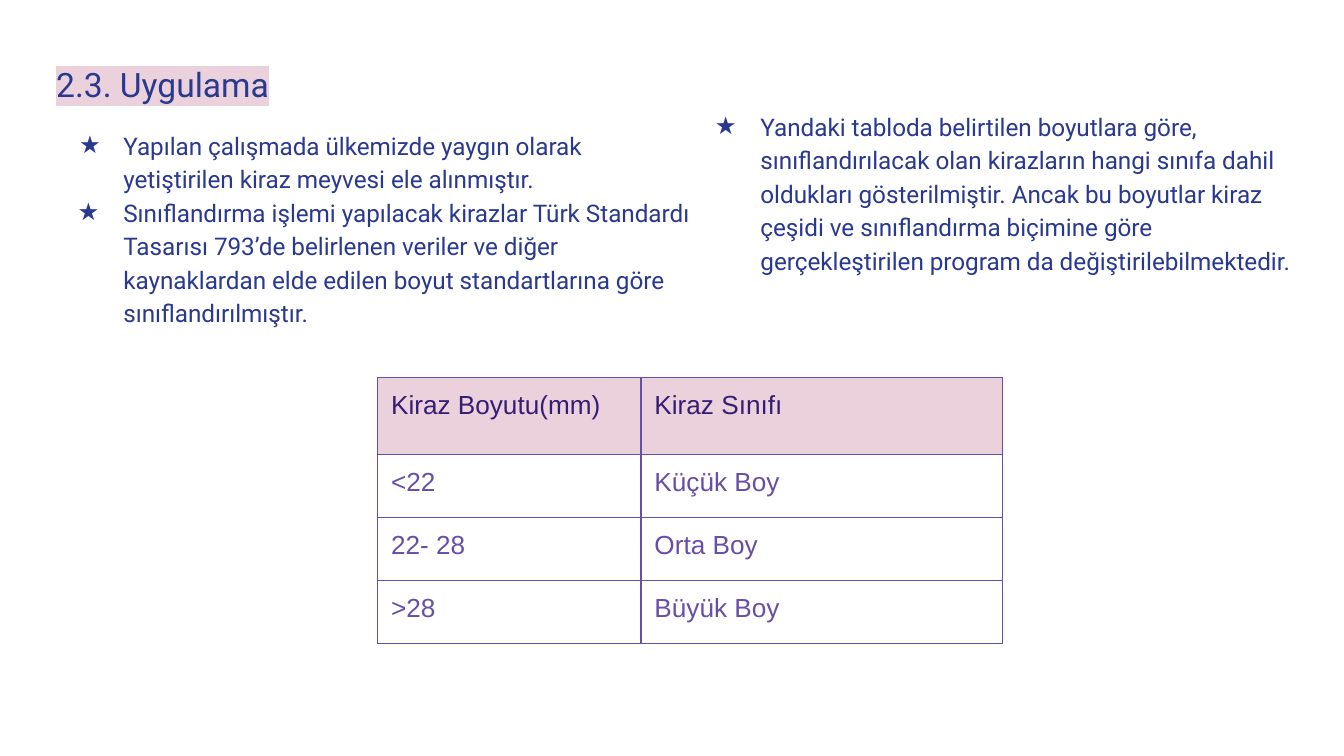
import pptx
import pptx.dml.color
import pptx.oxml
import pptx.oxml.ns
import pptx.util
from lxml import etree

WIDTH = 10
HEIGHT = WIDTH * 9 / 16
CELL = WIDTH / 100  # square grid, 100 columns across the slide
NAVY, PINK, WHITE = "2A3990", "EAD1DC", "FFFFFF"
PURPLE, DARK_PURPLE = "674EA7", "351C75"

HEADING = "2.3. Uygulama"
STUDY_POINTS = [
    "Yapılan çalışmada ülkemizde yaygın olarak yetiştirilen kiraz meyvesi ele alınmıştır.",
    "Sınıflandırma işlemi yapılacak kirazlar Türk Standardı Tasarısı 793’de belirlenen "
    "veriler ve diğer kaynaklardan elde edilen boyut standartlarına göre sınıflandırılmıştır.",
]
SIZE_POINTS = [
    "Yandaki tabloda belirtilen boyutlara göre, sınıflandırılacak olan kirazların hangi "
    "sınıfa dahil oldukları gösterilmiştir. Ancak bu boyutlar kiraz çeşidi ve sınıflandırma "
    "biçimine göre gerçekleştirilen program da değiştirilebilmektedir.",
]
CHERRY_SIZES = [
    ("Kiraz Boyutu(mm)", "Kiraz Sınıfı"),
    ("<22", "Küçük Boy"),
    ("22- 28", "Orta Boy"),
    (">28", "Büyük Boy"),
]


def grid(cells):
    return pptx.util.Inches(cells * CELL)


def rgb(colour):
    return pptx.dml.color.RGBColor.from_string(colour)


def add_child(parent, tag, **attributes):
    return etree.SubElement(parent, pptx.oxml.ns.qn(tag), attributes)


def set_margins(holder):
    for side in ("left", "top", "right", "bottom"):
        setattr(holder, f"margin_{side}", grid(1))


def write_run(paragraph, text, size, face, colour, highlight=None):
    run = paragraph.add_run()
    run.text = text
    for name, value in {"size": pptx.util.Pt(size), "name": face}.items():
        setattr(run.font, name, value)
    run.font.color.rgb = rgb(colour)
    if highlight:
        marker = pptx.oxml.parse_xml(
            f'<a:highlight {pptx.oxml.ns.nsdecls("a")}><a:srgbClr val="{highlight}"/></a:highlight>'
        )
        run.font._element.find(pptx.oxml.ns.qn("a:solidFill")).addnext(marker)


def add_star(paragraph, indent):
    """Hang a star bullet in front of the paragraph."""
    properties = paragraph._p.get_or_add_pPr()
    properties.set("marL", str(grid(5)))
    properties.set("indent", str(-grid(indent)))
    add_child(add_child(properties, "a:buClr"), "a:srgbClr", val=NAVY)
    add_child(properties, "a:buFont", typeface="Roboto")
    add_child(properties, "a:buChar", char="★")


def add_text_column(slide, left, top, width, height, points, heading=None, highlight=None):
    frame = slide.shapes.add_textbox(*map(grid, (left, top, width, height))).text_frame
    frame.word_wrap = True
    set_margins(frame)
    lines = ([heading] if heading else []) + points
    for index, line in enumerate(lines):
        paragraph = frame.add_paragraph() if index else frame.paragraphs[0]
        paragraph.line_spacing = 1.15
        if line == heading:
            write_run(paragraph, line, 18, "Roboto", NAVY, PINK)
            continue
        after_heading = heading and index == 1
        if after_heading:
            paragraph.space_before = pptx.util.Pt(12)
        add_star(paragraph, 3.3 if after_heading else 3.4)
        write_run(paragraph, line, 13, "Roboto", NAVY, highlight)


def add_borders(cell):
    properties = cell._tc.get_or_add_tcPr()
    for position, side in enumerate(("a:lnL", "a:lnR", "a:lnT", "a:lnB")):
        line = add_child(properties, side, w=str(pptx.util.Pt(0.75)))
        add_child(add_child(line, "a:solidFill"), "a:srgbClr", val=PURPLE)
        properties.insert(position, line)


def add_size_table(slide, left, top, column_widths, row_heights):
    table = slide.shapes.add_table(
        len(row_heights), len(column_widths), grid(left), grid(top),
        grid(sum(column_widths)), grid(sum(row_heights)),
    ).table
    for name in ("first_row", "horz_banding"):
        setattr(table, name, False)
    for column, width in zip(table.columns, column_widths):
        column.width = grid(width)
    for index, (row, height) in enumerate(zip(table.rows, row_heights)):
        row.height = grid(height)
        for cell, text in zip(row.cells, CHERRY_SIZES[index]):
            set_margins(cell)
            if index == 0:
                cell.fill.solid()
                cell.fill.fore_color.rgb = rgb(PINK)
            else:
                cell.fill.background()
            add_borders(cell)
            write_run(cell.text_frame.paragraphs[0], text, 14, "Arial",
                      PURPLE if index else DARK_PURPLE)


def main():
    deck = pptx.Presentation()
    deck.slide_width = pptx.util.Inches(WIDTH)
    deck.slide_height = pptx.util.Inches(HEIGHT)
    slide = deck.slides.add_slide(deck.slide_layouts[6])
    add_text_column(slide, 3.2, 3.3, 49.4, 23.2, STUDY_POINTS, HEADING, WHITE)
    add_text_column(slide, 50.6, 7, 46.5, 18.3, SIZE_POINTS)
    add_size_table(slide, 28.1, 28.1, (19.6, 26.9), (5.7, 4.7, 4.7, 4.7))
    deck.save("out.pptx")


if __name__ == "__main__":
    main()
